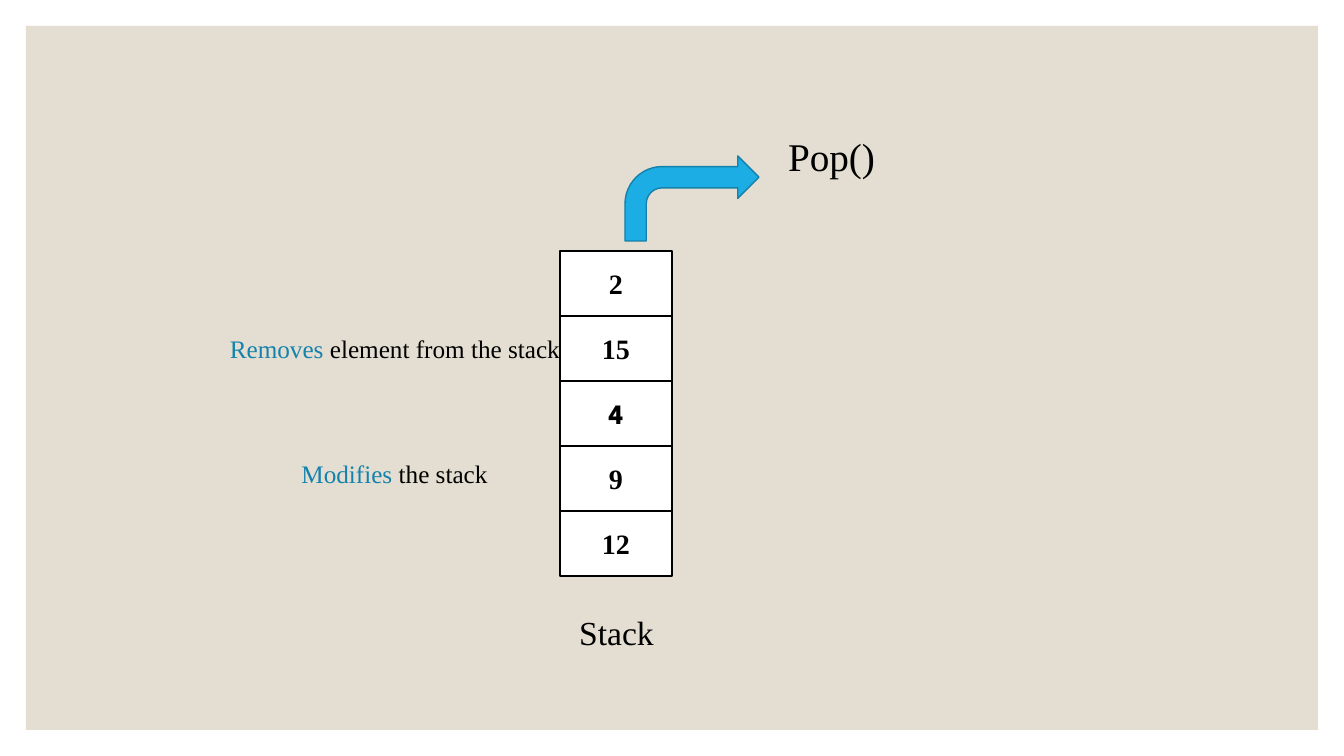
from pptx import Presentation
from pptx.dml.color import RGBColor
from pptx.enum.shapes import MSO_SHAPE
from pptx.enum.text import MSO_ANCHOR, PP_ALIGN
from pptx.util import Emu, Pt

COLORS = {"panel": "E3DED1", "white": "FFFFFF", "ink": "000000",
          "accent": "1482AC", "arrow": "1CADE4", "arrow_line": "1580A9"}
SERIF = "Times New Roman"
STACK = [("2", SERIF), ("15", SERIF), ("4", "League Spartan"), ("9", SERIF), ("12", SERIF)]
LABELS = [
    ((567, 607, 99, 50), 24, True, [("Stack", "ink")]),
    ((777, 127, 109, 57), 28, False, [("Pop()", "ink")]),
    ((218, 328, 354, 40), 18, False, [("Removes", "accent"), (" element from the stack", "ink")]),
    ((290, 453, 209, 40), 18, False, [("Modifies ", "accent"), ("the stack", "ink")]),
]
PANEL = (26, 26, 1292, 704)
ARROW = (625, 156, 134, 85)
CELL_LEFT, CELL_TOP, CELL_W, CELL_H = 560, 251, 112, 65


def px(n):
    return Emu(round(n * 914400 / 100.8))


def rgb(name):
    return RGBColor.from_string(COLORS[name])


def add_shape(s, kind, box, fill, line=None):
    sp = s.shapes.add_shape(kind, *map(px, box))
    sp.shadow.inherit = False
    sp.fill.solid()
    sp.fill.fore_color.rgb = rgb(fill)
    if line:
        sp.line.color.rgb = rgb(line)
        sp.line.width = Pt(1)
    else:
        sp.line.fill.background()
    return sp


def write(tf, runs, size, font=SERIF, bold=False):
    p = tf.paragraphs[0]
    p.alignment = PP_ALIGN.CENTER
    p.font.name, p.font.size, p.font.bold = font, Pt(size), bold
    for text, color in runs:
        r = p.add_run()
        r.text = text
        r.font.color.rgb = rgb(color)


def main():
    prs = Presentation()
    prs.slide_width, prs.slide_height = px(1344), px(756)
    s = prs.slides.add_slide(prs.slide_layouts[6])
    add_shape(s, MSO_SHAPE.RECTANGLE, PANEL, "panel")
    for i, (value, font) in enumerate(STACK):
        box = (CELL_LEFT, CELL_TOP + i * CELL_H, CELL_W, CELL_H)
        sp = add_shape(s, MSO_SHAPE.RECTANGLE, box, "white", "ink")
        sp.text_frame.vertical_anchor = MSO_ANCHOR.MIDDLE
        write(sp.text_frame, [(value, "ink")], 20, font, True)
    for box, size, wrap, runs in LABELS:
        tf = s.shapes.add_textbox(*map(px, box)).text_frame
        tf.word_wrap = wrap
        write(tf, runs, size)
    add_shape(s, MSO_SHAPE.BENT_ARROW, ARROW, "arrow", "arrow_line")
    prs.save("out.pptx")


if __name__ == "__main__":
    main()
